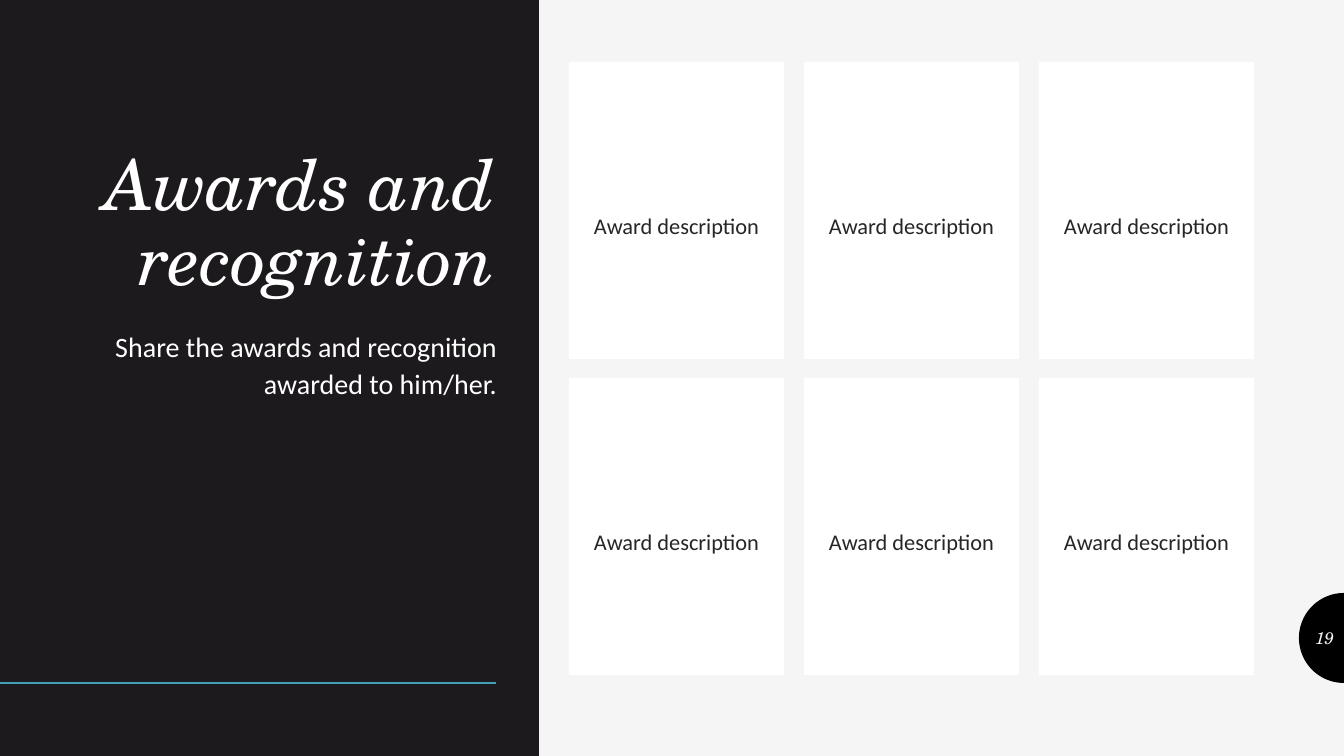
from math import cos, pi, sin

from lxml.etree import SubElement
from pptx import Presentation
from pptx.dml.color import RGBColor
from pptx.enum.shapes import MSO_CONNECTOR, MSO_SHAPE
from pptx.enum.text import MSO_ANCHOR, MSO_AUTO_SIZE, PP_ALIGN
from pptx.oxml.ns import qn
from pptx.util import Emu, Pt

SERIF = "TeX Gyre Schola"
SANS = "Calibri"
DARK, BLACK, WHITE, PALE = "1D1A1D", "000000", "FFFFFF", "F5F5F5"
TEAL, INK = "439EB7", "262626"
TITLE = dict(name=SERIF, size=Pt(50), italic=True, bold=False)
BODY = dict(name=SANS, size=Pt(20))
CARD = dict(name=SANS, size=Pt(16))
PAGE = dict(name=SERIF, size=Pt(12), italic=True)


def px(n):
    return Emu(round(n * 914400 / 100.8))


def hue(code):
    return RGBColor.from_string(code)


def paint(shape, code):
    shape.shadow.inherit = False
    shape.fill.solid()
    shape.fill.fore_color.rgb = hue(code)
    shape.line.fill.background()


def write(shape, text, look, color, align, anchor=MSO_ANCHOR.TOP, space=None):
    frame = shape.text_frame
    frame.word_wrap = True
    frame.auto_size = MSO_AUTO_SIZE.NONE
    frame.vertical_anchor = anchor
    para = frame.paragraphs[0]
    para.alignment = align
    para.line_spacing = space
    para.space_before = Pt(0)
    run = para.add_run()
    run.text = text
    for key, value in look.items():
        setattr(run.font, key, value)
    run.font.color.rgb = hue(color)


def place(slide, shape, x, y, w, h):
    """Move a placeholder to the box and to the front."""
    shape.left, shape.top, shape.width, shape.height = map(px, (x, y, w, h))
    slide.shapes.element.append(shape.element)


def add_badge(slide, x, y, w, h):
    steps = 48
    turns = [pi * (0.5 + i / steps) for i in range(steps + 1)]
    dots = [(px(x + w + w * cos(t)), px(y + h / 2 - h / 2 * sin(t)))
            for t in turns]
    build = slide.shapes.build_freeform(*dots[0])
    build.add_line_segments(dots[1:], close=True)
    paint(build.convert_to_shape(), BLACK)
    box = slide.shapes.add_textbox(px(x), px(y + 25), px(w), px(h - 50))
    write(box, "19", PAGE, PALE, PP_ALIGN.RIGHT, MSO_ANCHOR.MIDDLE)


def add_panel(slide, x, y, w, h):
    panel = slide.shapes.add_shape(
        MSO_SHAPE.RECTANGLE, px(x), px(y), px(w), px(h))
    paint(panel, DARK)
    rule = slide.shapes.add_connector(
        MSO_CONNECTOR.STRAIGHT, px(x), px(y + 683), px(x + 496), px(y + 683))
    rule.line.color.rgb = hue(TEAL)
    rule.line.width = Pt(2)
    SubElement(rule.element.spPr, qn("a:effectLst"))

    title, body = slide.shapes.title, slide.placeholders[1]
    place(slide, title, x + 84, y + 61, 422, 245)
    write(title, "Awards and recognition", TITLE, WHITE,
          PP_ALIGN.RIGHT, MSO_ANCHOR.BOTTOM, 0.9)
    place(slide, body, x + 84, y + 320, 423, 314)
    props = body.text_frame.paragraphs[0]._p.get_or_add_pPr()
    props.set("marL", "0")
    props.set("indent", "0")
    SubElement(props, qn("a:buNone"))
    write(body, "Share the awards and recognition awarded to him/her.",
          BODY, WHITE, PP_ALIGN.RIGHT, space=1.12)


def add_cards(slide, x, y, w, h, cols=3, rows=2, gap_x=20, gap_y=19):
    wide = (w - gap_x * (cols - 1)) // cols
    tall = (h - gap_y * (rows - 1)) // rows
    for i in range(cols * rows):
        row, col = divmod(i, cols)
        card = slide.shapes.add_shape(
            MSO_SHAPE.RECTANGLE, px(x + col * (wide + gap_x)),
            px(y + row * (tall + gap_y)), px(wide), px(tall))
        paint(card, WHITE)
        for side in ("left", "right", "bottom"):
            setattr(card.text_frame, f"margin_{side}", 0)
        card.text_frame.margin_top = px(147)
        write(card, "Award description", CARD, INK,
              PP_ALIGN.CENTER, space=1.12)


def main():
    deck = Presentation()
    deck.slide_width, deck.slide_height = px(1344), px(756)
    slide = deck.slides.add_slide(deck.slide_layouts[1])
    slide.background.fill.solid()
    slide.background.fill.fore_color.rgb = hue(PALE)
    add_panel(slide, 0, 0, 539, 756)
    add_cards(slide, 569, 62, 685, 613)
    add_badge(slide, 1299, 593, 45, 90)
    deck.save("out.pptx")


if __name__ == "__main__":
    main()
